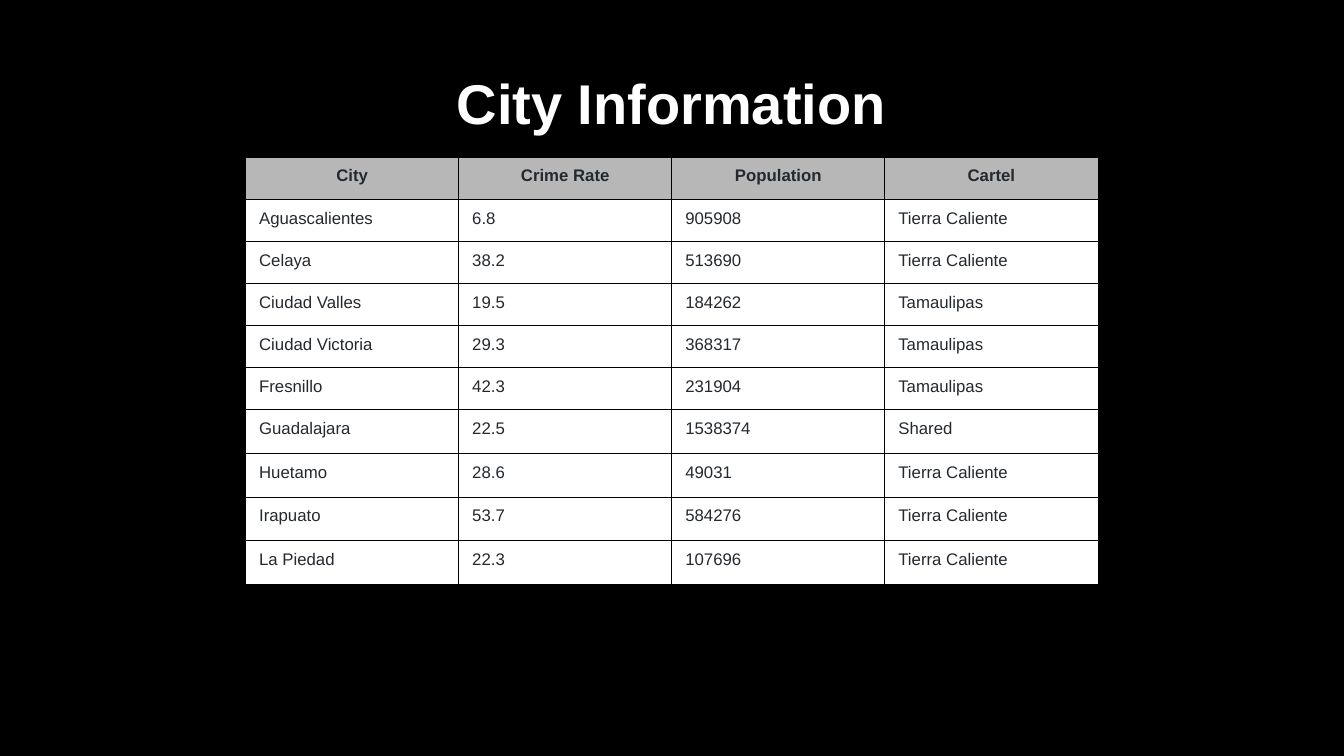
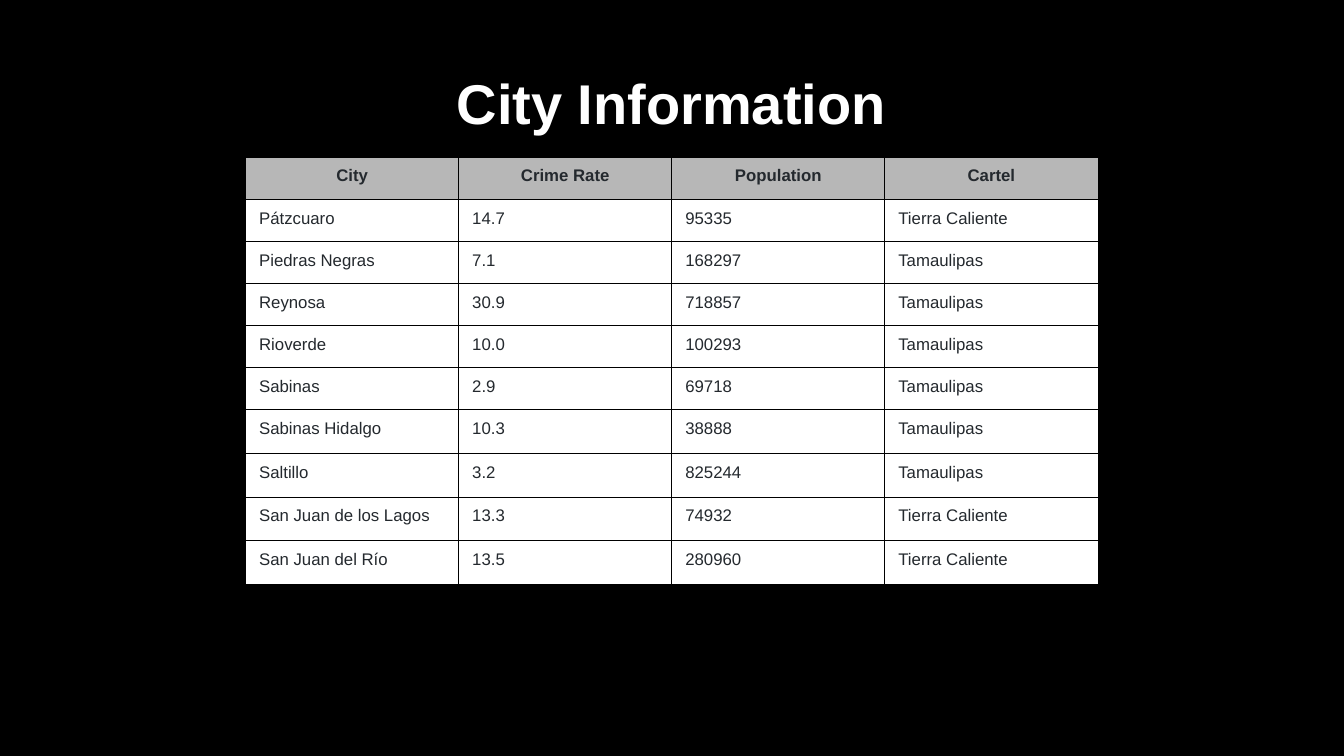
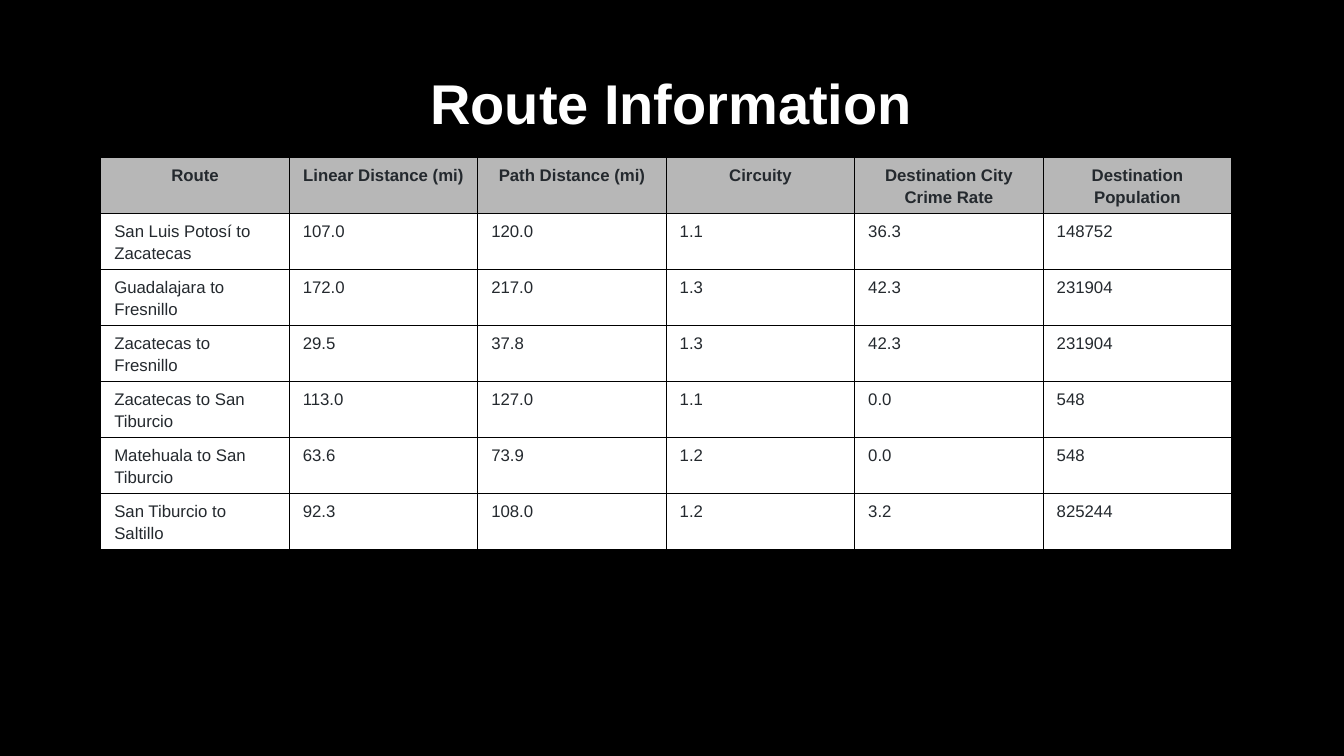
from lxml import etree
from pptx import Presentation
from pptx.dml.color import RGBColor
from pptx.enum.text import MSO_ANCHOR, PP_ALIGN
from pptx.oxml.ns import qn
from pptx.util import Cm, Pt

BLACK = RGBColor(0x00, 0x00, 0x00)
WHITE = RGBColor(0xFF, 0xFF, 0xFF)
HEADER_GRAY = RGBColor(0xB7, 0xB7, 0xB7)
INK = RGBColor(0x24, 0x29, 0x2E)

CENTER = PP_ALIGN.CENTER
LEFT = PP_ALIGN.LEFT
MIDDLE = MSO_ANCHOR.MIDDLE
TOP = MSO_ANCHOR.TOP

FONT = "Arial"
TITLE_ONLY = 5
TABLE_TOP = Cm(3.97)
BORDER = Pt(0.75)

CITY_HEADER = ("City", "Crime Rate", "Population", "Cartel")
CITY_LEFT, CITY_COLUMN = Cm(6.19), Cm(5.37)
CITY_ROWS = [Cm(1.06)] * 6 + [Cm(1.1)] * 4

CITIES_A_TO_L = [
    ("Aguascalientes", "6.8", "905908", "Tierra Caliente"),
    ("Celaya", "38.2", "513690", "Tierra Caliente"),
    ("Ciudad Valles", "19.5", "184262", "Tamaulipas"),
    ("Ciudad Victoria", "29.3", "368317", "Tamaulipas"),
    ("Fresnillo", "42.3", "231904", "Tamaulipas"),
    ("Guadalajara", "22.5", "1538374", "Shared"),
    ("Huetamo", "28.6", "49031", "Tierra Caliente"),
    ("Irapuato", "53.7", "584276", "Tierra Caliente"),
    ("La Piedad", "22.3", "107696", "Tierra Caliente"),
]
CITIES_P_TO_S = [
    ("Pátzcuaro", "14.7", "95335", "Tierra Caliente"),
    ("Piedras Negras", "7.1", "168297", "Tamaulipas"),
    ("Reynosa", "30.9", "718857", "Tamaulipas"),
    ("Rioverde", "10.0", "100293", "Tamaulipas"),
    ("Sabinas", "2.9", "69718", "Tamaulipas"),
    ("Sabinas Hidalgo", "10.3", "38888", "Tamaulipas"),
    ("Saltillo", "3.2", "825244", "Tamaulipas"),
    ("San Juan de los Lagos", "13.3", "74932", "Tierra Caliente"),
    ("San Juan del Río", "13.5", "280960", "Tierra Caliente"),
]

ROUTE_HEADER = ("Route", "Linear Distance (mi)", "Path Distance (mi)", "Circuity",
                "Destination City Crime Rate", "Destination Population")
ROUTE_LEFT, ROUTE_COLUMN = Cm(2.54), Cm(4.75)
ROUTE_ROWS = [Cm(1.41)] * 7
ROUTES = [
    ("San Luis Potosí to Zacatecas", "107.0", "120.0", "1.1", "36.3", "148752"),
    ("Guadalajara to Fresnillo", "172.0", "217.0", "1.3", "42.3", "231904"),
    ("Zacatecas to Fresnillo", "29.5", "37.8", "1.3", "42.3", "231904"),
    ("Zacatecas to San Tiburcio", "113.0", "127.0", "1.1", "0.0", "548"),
    ("Matehuala to San Tiburcio", "63.6", "73.9", "1.2", "0.0", "548"),
    ("San Tiburcio to Saltillo", "92.3", "108.0", "1.2", "3.2", "825244"),
]


def format_paragraph(p, size, color, bold, align, line_spacing):
    p.alignment = align
    p.line_spacing = line_spacing
    for r in p.runs:
        r.font.name = FONT
        r.font.size = Pt(size)
        r.font.bold = bold
        r.font.color.rgb = color


def add_titled_slide(prs, title):
    slide = prs.slides.add_slide(prs.slide_layouts[TITLE_ONLY])
    sp = slide.shapes.title
    sp.left, sp.top, sp.width, sp.height = Cm(2.54), Cm(0.84), Cm(28.75), Cm(3.68)
    tf = sp.text_frame
    tf.text = title
    tf.vertical_anchor = MIDDLE
    format_paragraph(tf.paragraphs[0], 40, WHITE, True, CENTER, 0.9)
    return slide


def set_borders(cell):
    """Draw a thin black line on all four sides of the cell."""
    tc_pr = cell._tc.get_or_add_tcPr()
    for i, side in enumerate(("a:lnL", "a:lnR", "a:lnT", "a:lnB")):
        ln = etree.Element(qn(side), w=str(BORDER))
        fill = etree.SubElement(ln, qn("a:solidFill"))
        etree.SubElement(fill, qn("a:srgbClr"), val=str(BLACK))
        tc_pr.insert(i, ln)


def fill_cell(cell, text, is_header):
    cell.text = text
    cell.margin_left = cell.margin_right = Cm(0.34)
    cell.margin_top = cell.margin_bottom = Cm(0.16)
    cell.vertical_anchor = TOP
    cell.fill.solid()
    cell.fill.fore_color.rgb = HEADER_GRAY if is_header else WHITE
    p = cell.text_frame.paragraphs[0]
    p.space_after = Pt(12)
    format_paragraph(p, 12, INK, is_header, CENTER if is_header else LEFT, 1.15)
    set_borders(cell)


def add_data_table(slide, header, records, left, column_width, row_heights):
    rows = [header, *records]
    frame = slide.shapes.add_table(len(rows), len(header), left, TABLE_TOP,
                                   column_width * len(header), sum(row_heights))
    table = frame.table
    table.horz_banding = False
    for column in table.columns:
        column.width = column_width
    for i, (row, height) in enumerate(zip(rows, row_heights)):
        table.rows[i].height = height
        for j, text in enumerate(row):
            fill_cell(table.cell(i, j), text, is_header=i == 0)


def main():
    prs = Presentation()
    prs.slide_width, prs.slide_height = Cm(33.87), Cm(19.05)
    background = prs.slide_master.background.fill
    background.solid()
    background.fore_color.rgb = BLACK

    for cities in (CITIES_A_TO_L, CITIES_P_TO_S):
        slide = add_titled_slide(prs, "City Information")
        add_data_table(slide, CITY_HEADER, cities, CITY_LEFT, CITY_COLUMN, CITY_ROWS)

    slide = add_titled_slide(prs, "Route Information")
    add_data_table(slide, ROUTE_HEADER, ROUTES, ROUTE_LEFT, ROUTE_COLUMN, ROUTE_ROWS)

    prs.save("out.pptx")


if __name__ == "__main__":
    main()
